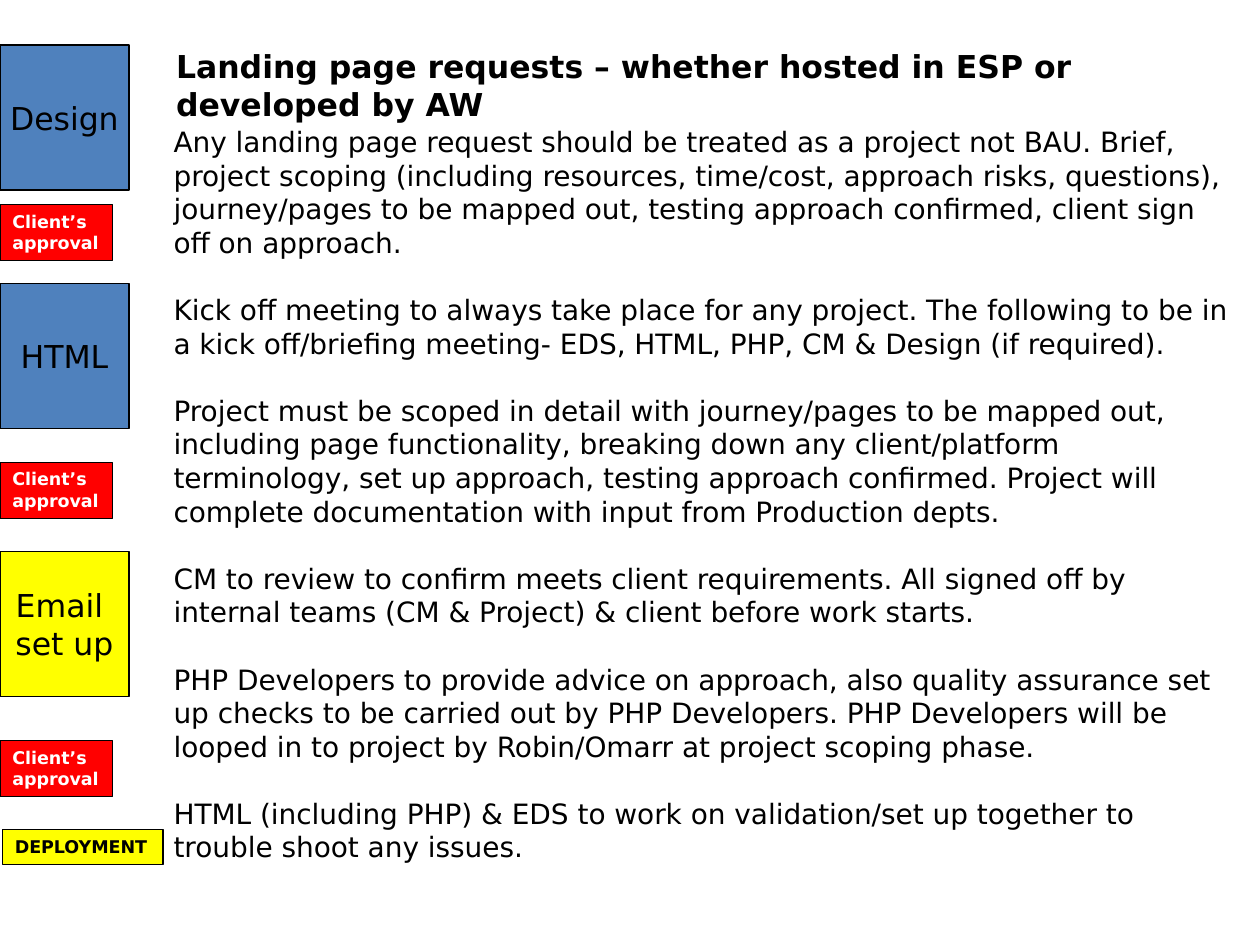
from pptx import Presentation
from pptx.dml.color import RGBColor
from pptx.enum.shapes import MSO_SHAPE
from pptx.enum.text import MSO_ANCHOR, PP_ALIGN
from pptx.util import Cm, Pt

BLUE, YELLOW, RED = "4F81BD", "FFFF00", "FF0000"
BLACK, WHITE = "000000", "FFFFFF"

TITLE = "Landing page requests – whether hosted in ESP or developed by AW"
BODY = [
    "Any landing page request should be treated as a project not BAU. Brief, "
    "project scoping (including resources, time/cost, approach risks, questions), "
    "journey/pages to be mapped out, testing approach confirmed, client sign off "
    "on approach.",
    "Kick off meeting to always take place for any project. The following to be in "
    "a kick off/briefing meeting- EDS, HTML, PHP, CM & Design (if required).",
    "Project must be scoped in detail with journey/pages to be mapped out, including "
    "page functionality, breaking down any client/platform terminology, set up "
    "approach, testing approach confirmed. Project will complete documentation with "
    "input from Production depts.",
    "CM to review to confirm meets client requirements. All signed off by internal "
    "teams (CM & Project) & client before work starts.",
    "PHP Developers to provide advice on approach, also quality assurance set up "
    "checks to be carried out by PHP Developers. PHP Developers will be looped in to "
    "project by Robin/Omarr at project scoping phase.",
    "HTML (including PHP) & EDS to work on validation/set up together to trouble "
    "shoot any issues.",
]


def rgb(value):
    return RGBColor.from_string(value)


def write(tf, lines, size=18, color=BLACK, bold=False, align=PP_ALIGN.LEFT,
          anchor=MSO_ANCHOR.TOP, wrap=False, gap=0, font="DejaVu Sans"):
    """Fill a text frame with one paragraph per line; gap is the space after, in points."""
    tf.word_wrap = wrap
    tf.vertical_anchor = anchor
    for i, line in enumerate(lines):
        p = tf.paragraphs[0] if i == 0 else tf.add_paragraph()
        p.alignment = align
        p.space_after = Pt(gap)
        r = p.add_run()
        r.text = line
        r.font.name = font
        r.font.size = Pt(size)
        r.font.bold = bold
        r.font.color.rgb = rgb(color)


class ProcessSlide:
    def __init__(self, slide, line_width=0.75):
        self.slide = slide
        self.line_width = line_width

    def box(self, lines, left, top, width, height, fill, outlined=True, **style):
        sp = self.slide.shapes.add_shape(
            MSO_SHAPE.RECTANGLE, Cm(left), Cm(top), Cm(width), Cm(height))
        sp.shadow.inherit = False
        sp.fill.solid()
        sp.fill.fore_color.rgb = rgb(fill)
        if outlined:
            sp.line.color.rgb = rgb(BLACK)
            sp.line.width = Pt(self.line_width)
        else:
            sp.line.fill.background()
        write(sp.text_frame, lines, **style)

    def stage(self, lines, top, fill):
        self.box(lines, 0, top, 2.6, 2.92, fill,
                 align=PP_ALIGN.CENTER, anchor=MSO_ANCHOR.MIDDLE)

    def approval(self, top):
        self.box(["Client’s", "approval"], 0, top, 2.27, 1.13, RED,
                 size=10, color=WHITE, bold=True)

    def text(self, lines, left, top, width, height, **style):
        sp = self.slide.shapes.add_textbox(Cm(left), Cm(top), Cm(width), Cm(height))
        write(sp.text_frame, lines, wrap=True, **style)


def main():
    prs = Presentation()
    prs.slide_width, prs.slide_height = Cm(25.4), Cm(19.05)
    s = ProcessSlide(prs.slides.add_slide(prs.slide_layouts[6]))

    s.box([TITLE], 3.3, 0.82, 21.9, 3.45, WHITE, outlined=False, bold=True, wrap=True)
    for lines, top, fill in ((["Design"], 0.91, BLUE),
                             (["HTML"], 5.72, BLUE),
                             (["Email ", "set up"], 11.12, YELLOW)):
        s.stage(lines, top, fill)
    for top in (4.12, 9.32, 14.93):
        s.approval(top)
    s.box(["DEPLOYMENT"], 0.05, 16.72, 3.24, 0.71, YELLOW, size=10, bold=True)
    s.text(BODY, 3.25, 2.39, 21.95, 15.98, size=16, gap=19.2)

    prs.save("out.pptx")


if __name__ == "__main__":
    main()
